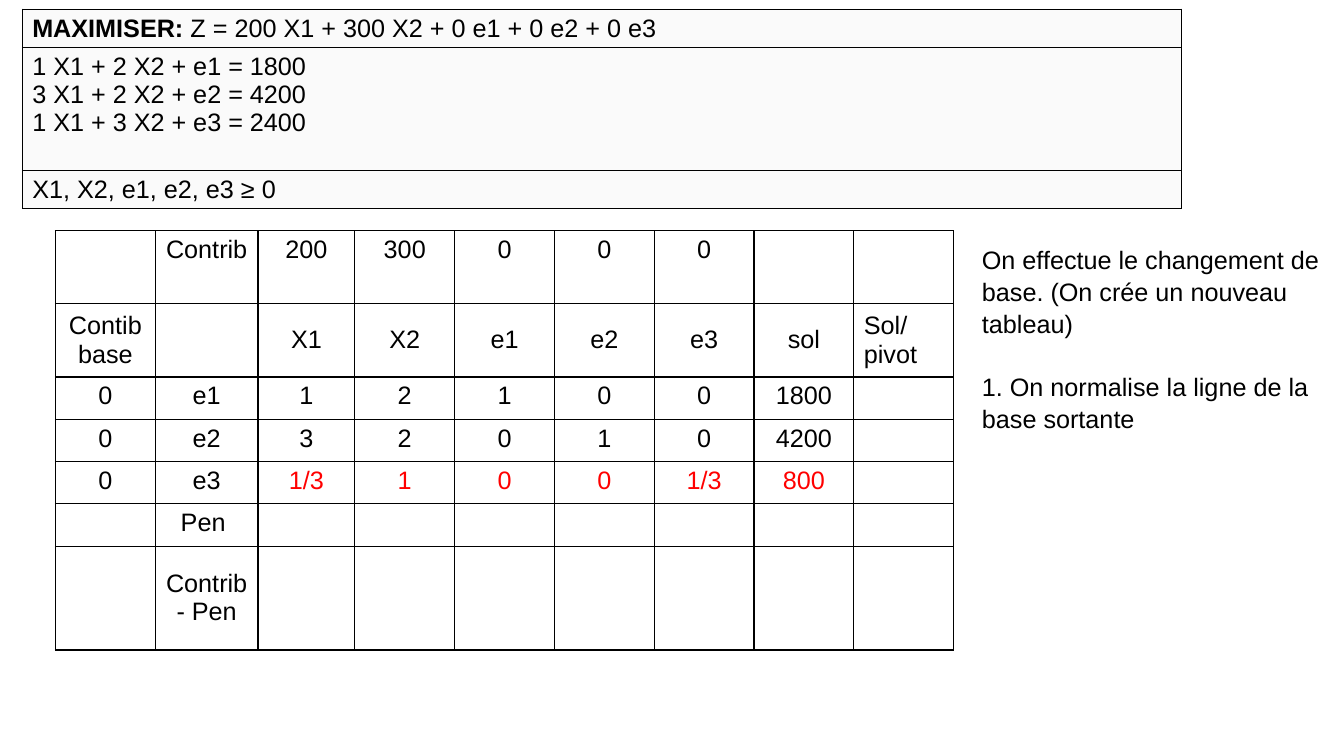
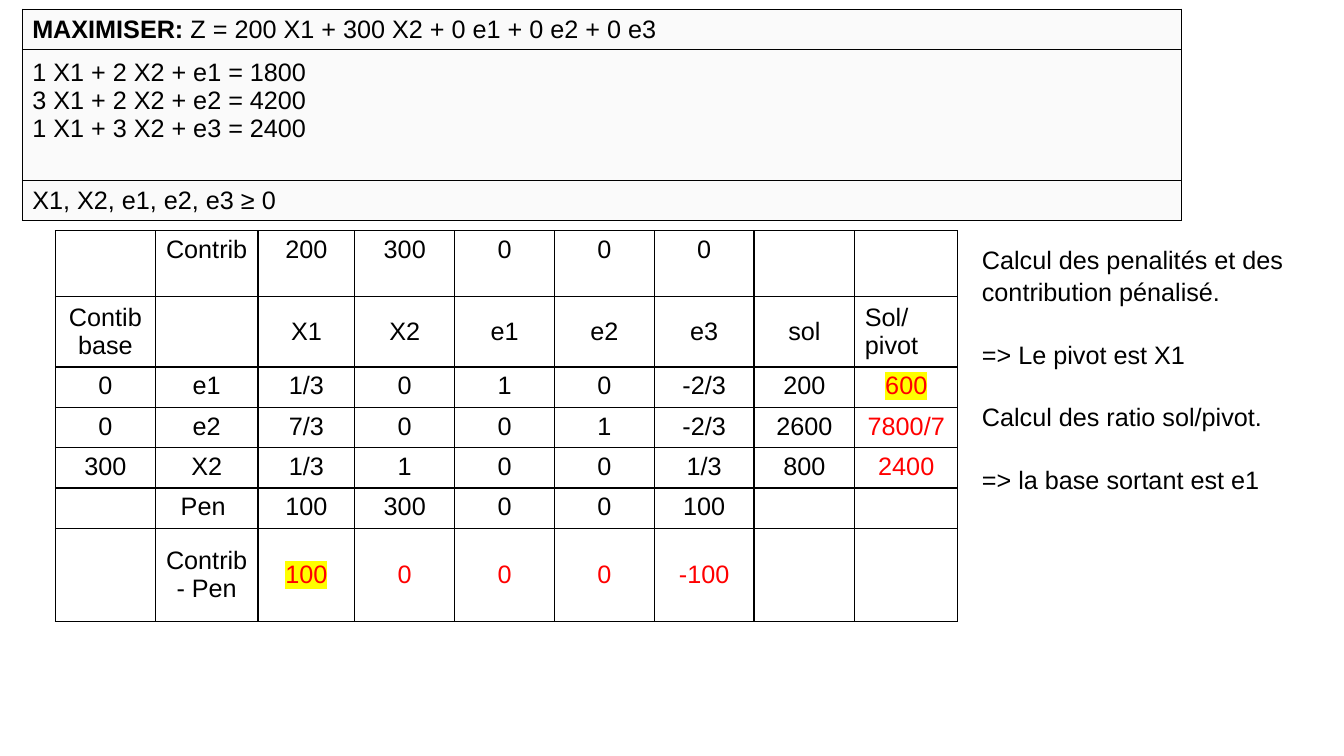
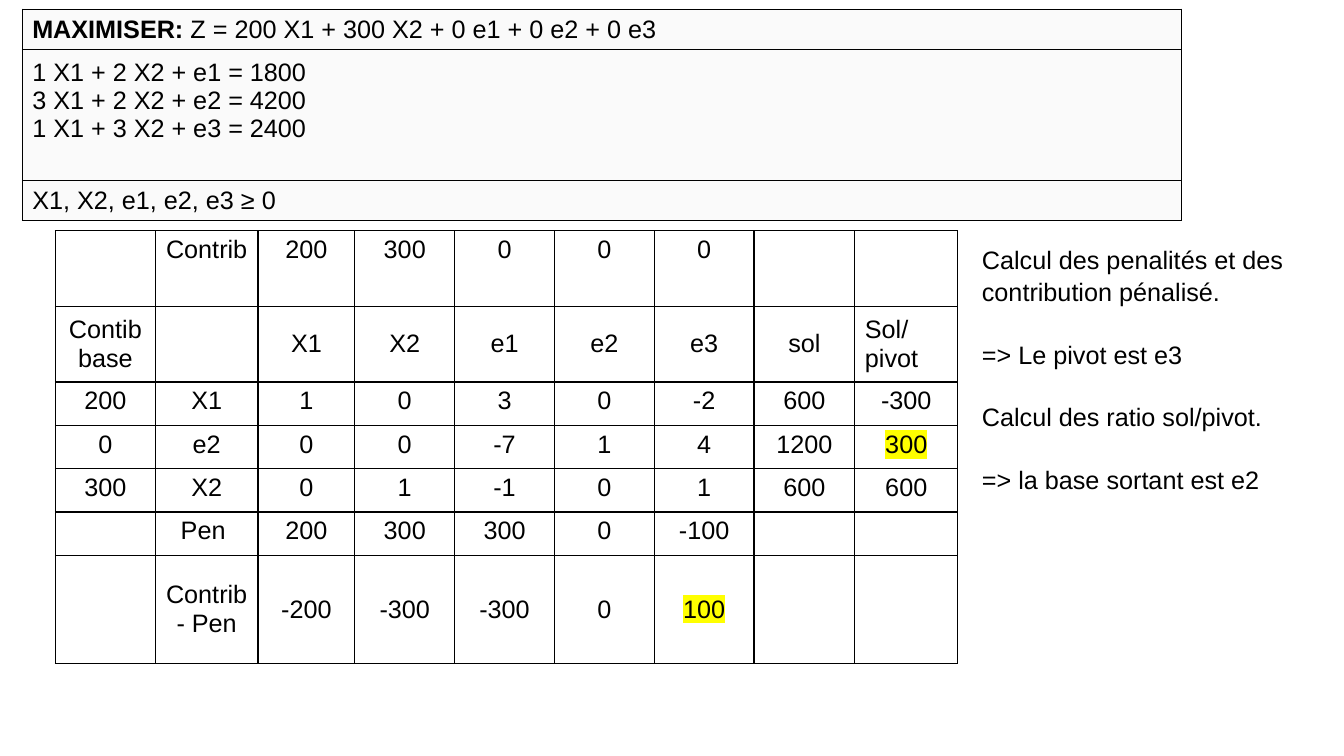
"""Three simplex tableau slides: linear program, tableau and commentary."""
from lxml import etree
from pptx import Presentation
from pptx.dml.color import RGBColor
from pptx.enum.text import MSO_ANCHOR, PP_ALIGN
from pptx.oxml.ns import qn
from pptx.util import Inches, Pt

MIDDLE, TOP = MSO_ANCHOR.MIDDLE, MSO_ANCHOR.TOP
CENTER, LEFT = PP_ALIGN.CENTER, PP_ALIGN.LEFT
BLACK = RGBColor(0x00, 0x00, 0x00)
RED = RGBColor(0xFF, 0x00, 0x00)
YELLOW = RGBColor(0xFF, 0xFF, 0x00)
PALE_GRAY = RGBColor(0xFA, 0xFA, 0xFA)

OBJECTIVE_LABEL = "MAXIMISER: "
OBJECTIVE = "Z = 200 X1 + 300 X2 + 0 e1 + 0 e2 + 0 e3"
CONSTRAINTS = """1 X1 + 2 X2 + e1 = 1800
3 X1 + 2 X2 + e2 = 4200
1 X1 + 3 X2 + e3 = 2400"""
SIGNS = "X1, X2, e1, e2, e3 ≥ 0"
HEADER_ROWS = [
    ["", "Contrib", "200", "300", "0", "0", "0", "", ""],
    ["Contib base", "", "X1", "X2", "e1", "e2", "e3", "sol", "Sol/pivot"],
]
MIDDLE_ROWS = (1, 6)
FIRST_COLUMNS = [0.99, 1.02, 0.96, 0.99, 0.99, 0.99, 0.99]

STEPS = [
    {
        "program_heights": [0.38, 1.22, 0.38],
        "last_columns": [0.99, 0.99],
        "heights": [0.72, 0.73, 0.42, 0.42, 0.42, 0.42, 1.03],
        "rows": [
            ["0", "e1", "1", "2", "1", "0", "0", "1800", ""],
            ["0", "e2", "3", "2", "0", "1", "0", "4200", ""],
            ["0", "e3", "1/3", "1", "0", "0", "1/3", "800", ""],
            ["", "Pen ", "", "", "", "", "", "", ""],
            ["", "Contrib - Pen", "", "", "", "", "", "", ""],
        ],
        "red": [(4, column) for column in range(2, 8)],
        "highlighted": [],
        "comments": [
            "On effectue le changement de base. (On crée un nouveau tableau)",
            "1. On normalise la ligne de la base sortante",
        ],
    },
    {
        "program_heights": [0.4, 1.3, 0.4],
        "last_columns": [1, 1.02],
        "heights": [0.65, 0.7, 0.4, 0.4, 0.4, 0.4, 0.92],
        "rows": [
            ["0", "e1", "1/3", "0", "1", "0", "-2/3", "200", "600"],
            ["0", "e2", "7/3", "0", "0", "1", "-2/3", "2600", "7800/7"],
            ["300", "X2", "1/3", "1", "0", "0", "1/3", "800", "2400"],
            ["", "Pen ", "100", "300", "0", "0", "100", "", ""],
            ["", "Contrib - Pen", "100", "0", "0", "0", "-100", "", ""],
        ],
        "red": [(row, 8) for row in range(2, 5)] + [(6, column) for column in range(2, 7)],
        "highlighted": [(2, 8), (6, 2)],
        "comments": [
            "Calcul des penalités et des contribution pénalisé.",
            "=> Le pivot est X1",
            "Calcul des ratio sol/pivot.",
            "=> la base sortant est e1",
        ],
    },
    {
        "program_heights": [0.4, 1.3, 0.4],
        "last_columns": [1, 1.02],
        "heights": [0.75, 0.75, 0.43, 0.43, 0.43, 0.43, 1.07],
        "rows": [
            ["200", "X1", "1", "0", "3", "0", "-2", "600", "-300"],
            ["0", "e2", "0", "0", "-7", "1", "4", "1200", "300"],
            ["300", "X2", "0", "1", "-1", "0", "1", "600", "600"],
            ["", "Pen ", "200", "300", "300", "0", "-100", "", ""],
            ["", "Contrib - Pen", "-200", "-300", "-300", "0", "100", "", ""],
        ],
        "red": [],
        "highlighted": [(3, 8), (6, 6)],
        "comments": [
            "Calcul des penalités et des contribution pénalisé.",
            "=> Le pivot est e3",
            "Calcul des ratio sol/pivot.",
            "=> la base sortant est e2",
        ],
    },
]


def format_text(text_frame, alignment=LEFT, color=BLACK):
    """Apply the common font and the given alignment and colour."""
    for paragraph in text_frame.paragraphs:
        paragraph.alignment = alignment
        for run in paragraph.runs:
            run.font.name = "Arial"
            run.font.size = Pt(18)
            run.font.bold = run.text == OBJECTIVE_LABEL
            run.font.color.rgb = color


def add_grid(slide, left, top, widths, heights, border_width):
    """Add an unfilled table with black borders on every cell."""
    table = slide.shapes.add_table(
        len(heights), len(widths), Inches(left), Inches(top),
        Inches(sum(widths)), Inches(sum(heights))).table
    table.first_row = False
    table.horz_banding = False
    for column, width in zip(table.columns, widths):
        column.width = Inches(width)
    for row, height in zip(table.rows, heights):
        row.height = Inches(height)
    for cell in table.iter_cells():
        properties = cell._tc.get_or_add_tcPr()
        for side in ("a:lnL", "a:lnR", "a:lnT", "a:lnB"):
            line = etree.SubElement(properties, qn(side), w=str(Pt(border_width)))
            fill = etree.SubElement(line, qn("a:solidFill"))
            etree.SubElement(fill, qn("a:srgbClr"), val=str(BLACK))
        cell.fill.background()
    return table


presentation = Presentation()
presentation.slide_width = Inches(13.33)
presentation.slide_height = Inches(7.5)

for step in STEPS:
    slide = presentation.slides.add_slide(presentation.slide_layouts[6])

    program = add_grid(slide, 0.22, 0.09, [11.5], step["program_heights"], 0.75)
    objective = program.cell(0, 0).text_frame.paragraphs[0]
    for text in (OBJECTIVE_LABEL, OBJECTIVE):
        objective.add_run().text = text
    program.cell(1, 0).text_frame.text = CONSTRAINTS
    program.cell(1, 0).margin_bottom = Inches(0.33)
    program.cell(2, 0).text_frame.text = SIGNS
    for cell in program.iter_cells():
        cell.fill.solid()
        cell.fill.fore_color.rgb = PALE_GRAY
        cell.vertical_anchor = MIDDLE
        format_text(cell.text_frame)

    tableau = add_grid(slide, 0.55, 2.29, FIRST_COLUMNS + step["last_columns"],
                       step["heights"], 0.96)
    for row, texts in enumerate(HEADER_ROWS + step["rows"]):
        for column, text in enumerate(texts):
            cell = tableau.cell(row, column)
            cell.text_frame.text = text
            cell.vertical_anchor = MIDDLE if row in MIDDLE_ROWS else TOP
            format_text(cell.text_frame,
                        LEFT if (row, column) == (1, 8) else CENTER,
                        RED if (row, column) in step["red"] else BLACK)
    for row, column in step["highlighted"]:
        run = tableau.cell(row, column).text_frame.paragraphs[0].runs[0]
        highlight = etree.Element(qn("a:highlight"))
        etree.SubElement(highlight, qn("a:srgbClr"), val=str(YELLOW))
        run._r.get_or_add_rPr().find(qn("a:solidFill")).addnext(highlight)

    comment_box = slide.shapes.add_textbox(Inches(9.64), Inches(2.35), Inches(3.61), Inches(3.65))
    text_frame = comment_box.text_frame
    text_frame.word_wrap = True
    text_frame.text = "\n".join(step["comments"])
    format_text(text_frame)
    for index, paragraph in enumerate(text_frame.paragraphs):
        paragraph.line_spacing = 1.07
        paragraph.space_before = Pt(21.6 if index else 0)

presentation.save("out.pptx")
